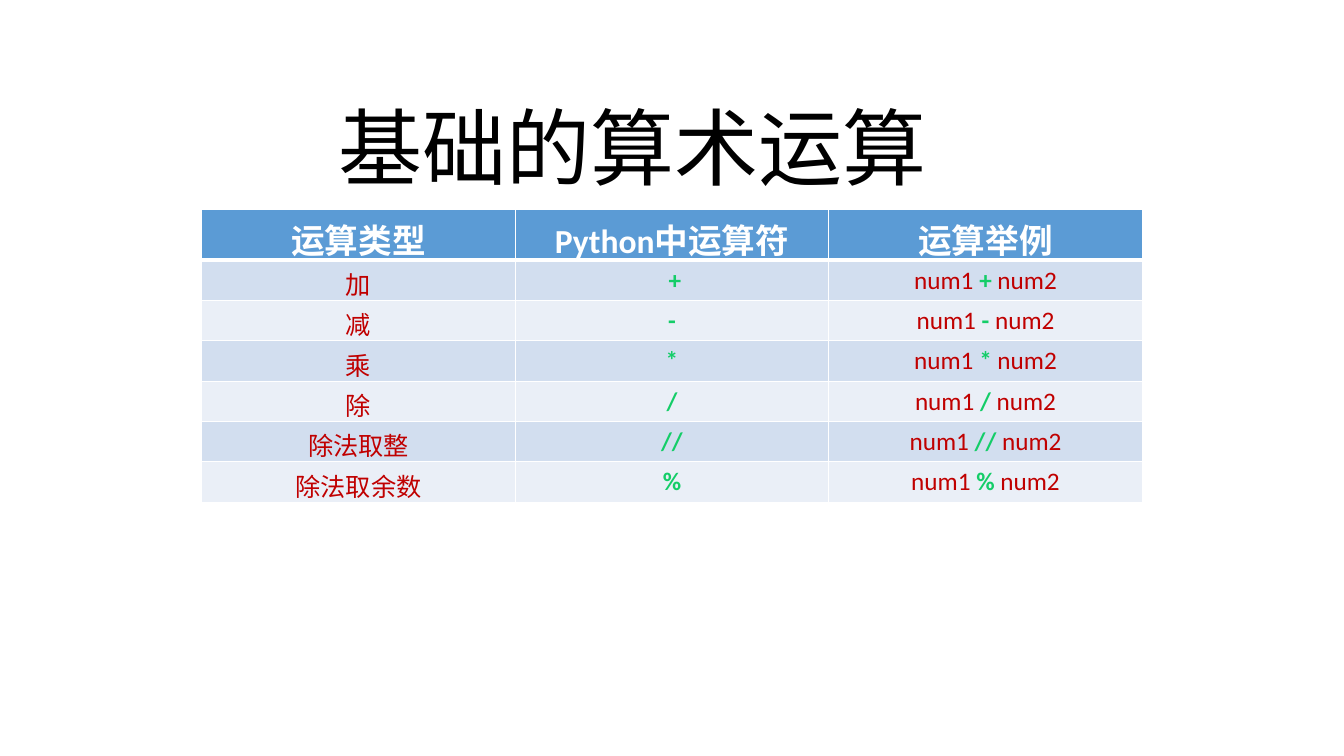
from lxml import etree
from pptx import Presentation
from pptx import util as u
from pptx.dml import color
from pptx.enum import text
from pptx.oxml import ns

COLORS = {"black": "000000", "white": "FFFFFF", "header": "5B9BD5",
          "odd": "D2DEEF", "even": "EAEFF7", "red": "C00000",
          "green": "14CD68", "teal": "035C7D"}
HEADERS = ["运算类型", "Python中运算符", "运算举例"]
OPERATIONS = [("加", " +"), ("减", "-"), ("乘", "*"),
              ("除", "/"), ("除法取整", "//"), ("除法取余数", "%")]


def rgb(name):
    """Return the named palette colour."""
    return color.RGBColor.from_string(COLORS[name])


def add_run(p, content, size=18, fill="red", bold=False, gradient=None):
    """Add a formatted run, with an optional two-colour gradient."""
    r = p.add_run()
    r.text = content
    r.font.name = "Calibri"
    r.font.size = u.Pt(size)
    r.font.bold = bold
    if gradient:
        r.font.fill.gradient()
        r.font.fill.gradient_angle = 0
        for stop, name in zip(r.font.fill.gradient_stops, gradient):
            stop.color.rgb = rgb(name)
    else:
        r.font.color.rgb = rgb(fill)


class Deck:
    """Hold the style and the current slide."""

    operator = {"bold": True, "gradient": ("green", "teal")}
    header = {"size": 24, "fill": "white", "bold": True}

    def __init__(self):
        """Start a widescreen deck with one blank slide."""
        self.prs = Presentation()
        self.prs.slide_width = u.Inches(13.33)
        self.prs.slide_height = u.Inches(7.5)
        self.s = self.prs.slides.add_slide(self.prs.slide_layouts[6])

    def title(self, content, left, top, width, height):
        """Add the centred title."""
        sp = self.s.shapes.add_textbox(*map(u.Inches, (left, top, width, height)))
        tf = sp.text_frame
        tf.word_wrap = True
        tf.vertical_anchor = text.MSO_ANCHOR.BOTTOM
        p = tf.paragraphs[0]
        p.alignment = text.PP_ALIGN.CENTER
        p.line_spacing = 0.9
        add_run(p, content, size=60, fill="black")

    def borders(self, cell, top=1, bottom=1):
        """Draw white borders around a cell."""
        props = cell._tc.get_or_add_tcPr()
        widths = {"lnL": 1, "lnR": 1, "lnT": top, "lnB": bottom}
        for i, (side, width) in enumerate(widths.items()):
            ln = etree.Element(ns.qn(f"a:{side}"), w=str(u.Pt(width)))
            solid = etree.SubElement(ln, ns.qn("a:solidFill"))
            etree.SubElement(solid, ns.qn("a:srgbClr"), val=COLORS["white"])
            props.insert(i, ln)

    def cell(self, cell, runs, fill, **edges):
        """Fill a cell with centred runs."""
        cell.fill.solid()
        cell.fill.fore_color.rgb = rgb(fill)
        self.borders(cell, **edges)
        p = cell.text_frame.paragraphs[0]
        p.alignment = text.PP_ALIGN.CENTER
        for content, style in runs:
            add_run(p, content, **style)

    def table(self, headers, operations, left, top, width):
        """Add the table of operators and examples."""
        heights = [0.5] + [0.4] * len(operations)
        frame = self.s.shapes.add_table(
            len(heights), len(headers),
            *map(u.Inches, (left, top, width, sum(heights))))
        table = frame.table
        for row, height in zip(table.rows, heights):
            row.height = u.Inches(height)
        for c, label in enumerate(headers):
            self.cell(table.cell(0, c), [(label, self.header)], "header", bottom=3)
        for i, (name, symbol) in enumerate(operations, 1):
            example = [("num1 ", {}), (symbol.strip(), self.operator), (" num2", {})]
            columns = [[(name, {})], [(symbol, self.operator)], example]
            for c, runs in enumerate(columns):
                self.cell(table.cell(i, c), runs, "odd" if i % 2 else "even",
                          top=3 if i == 1 else 1)


def main():
    """Build and save the slide."""
    deck = Deck()
    deck.title("基础的算术运算", 2.61, 0.98, 7.33, 1.03)
    deck.table(HEADERS, OPERATIONS, 2, 2.08, 9.33)
    deck.prs.save("out.pptx")


if __name__ == "__main__":
    main()
